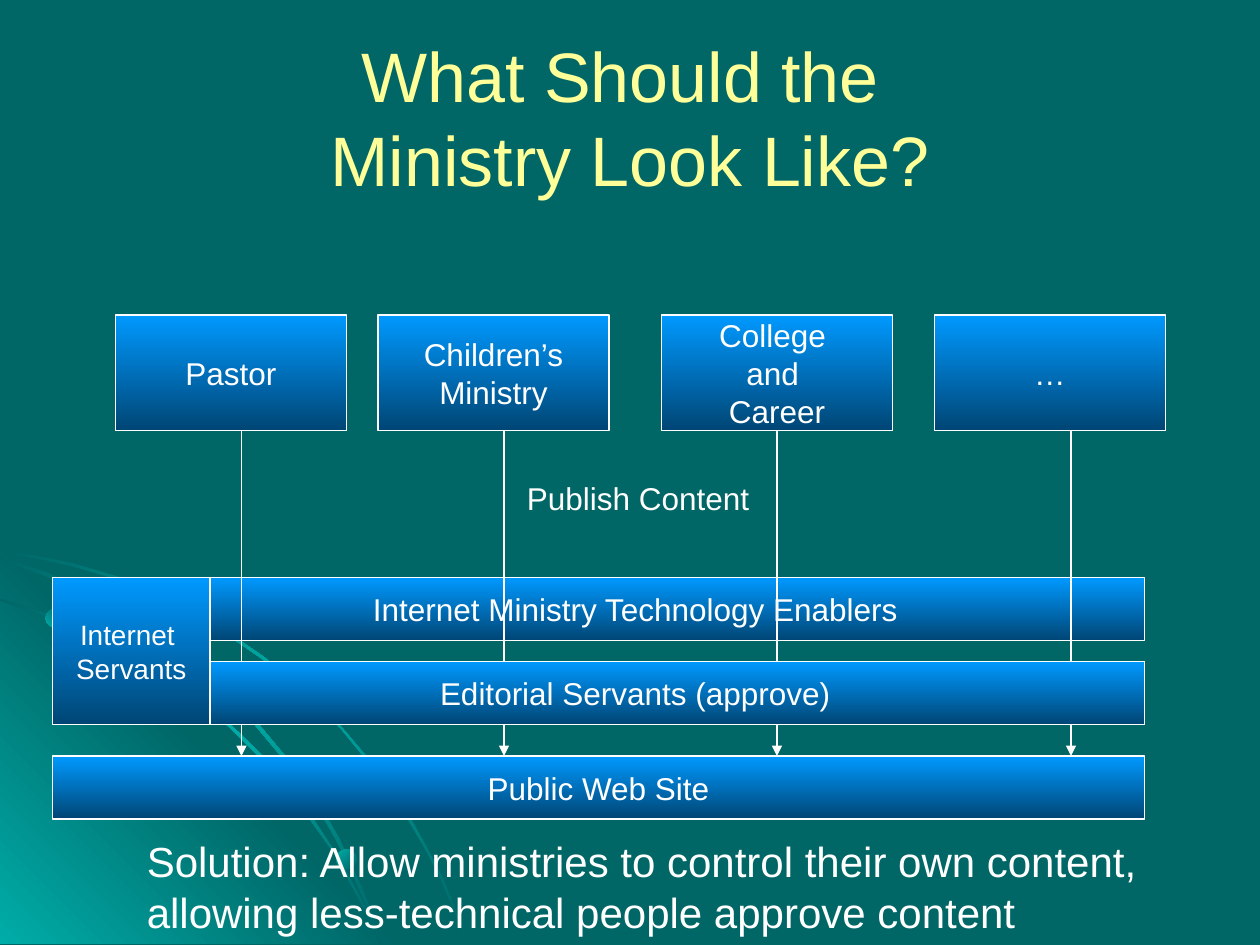
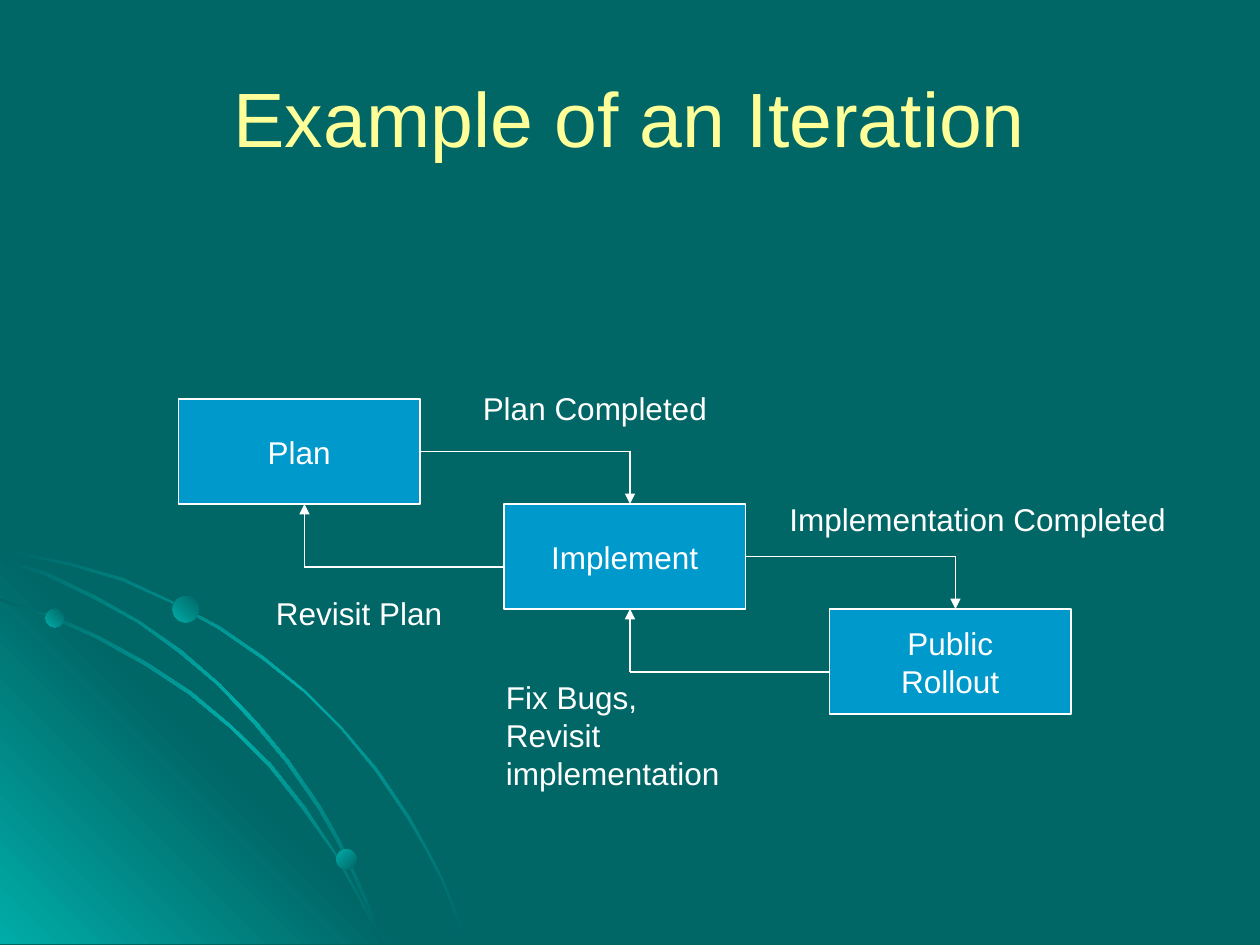
from dataclasses import dataclass

import lxml.etree
import pptx
import pptx.dml.color
import pptx.enum.shapes
import pptx.enum.text
import pptx.oxml.ns
import pptx.util

ALIGN = pptx.enum.text.PP_ALIGN
ANCHOR = pptx.enum.text.MSO_ANCHOR
SHAPE = pptx.enum.shapes.MSO_SHAPE
RIGHT_SIDE, BOTTOM_SIDE = 3, 2

# The slide is a grid of 120 columns by 90 rows, twelve to the inch
COLUMNS, ROWS = 120, 90
CELL = 914400 // 12
# The curved decoration uses a finer grid of 1000 by 750
FINE = 914400 // 100


@dataclass(frozen=True)
class Theme:
    font: str = "Arial"
    background: str = "006666"
    glow: str = "00ACA8"
    title: str = "FFFF99"
    text: str = "FFFFFF"
    line: str = "FFFFFF"
    step: str = "0099CC"
    bar_top: str = "0099FF"
    bar_bottom: str = "004675"
    long_title_size: int = 40
    title_size: int = 44
    summary_size: int = 24
    body_size: int = 18
    small_size: int = 16
    line_width: float = 0.75


THEME = Theme()


@dataclass(frozen=True)
class Box:
    left: float
    top: float
    width: float
    height: float

    def inner(self, left, top, width, height):
        """A box placed relative to this one's top left corner."""
        return Box(self.left + left, self.top + top, width, height)

    def point(self, column, row):
        return grid(self.left + column), grid(self.top + row)

    def emu(self):
        return [grid(n) for n in (self.left, self.top, self.width, self.height)]


TITLE_BOX = Box(6, 3.6, 108, 15)

# Outlines of the curves, on the fine grid
SWOOSHES = [
    [(57, 447), (28, 441), (0, 435), (0, 438), (28, 443), (56, 449), (97, 461),
     (135, 478), (173, 499), (208, 523), (241, 549), (271, 579), (298, 612),
     (323, 649), (337, 673), (350, 698), (360, 723), (370, 749), (372, 749),
     (362, 723), (352, 698), (339, 673), (325, 648), (300, 611), (272, 578),
     (242, 548), (209, 521), (174, 497), (136, 477), (98, 459)],
    [(285, 714), (294, 732), (301, 749), (303, 749), (296, 730), (286, 712),
     (266, 676), (242, 640), (215, 606), (184, 576), (152, 549), (117, 526),
     (79, 505), (41, 488), (0, 475), (0, 477), (39, 490), (77, 507),
     (115, 528), (150, 551), (183, 578), (213, 608), (240, 642), (265, 677)],
    [(0, 442), (0, 444), (36, 457), (74, 475), (109, 494), (142, 518),
     (173, 544), (202, 575), (227, 605), (252, 641), (267, 667), (280, 694),
     (292, 722), (301, 749), (303, 749), (294, 720), (282, 693), (269, 665),
     (254, 639), (229, 603), (204, 573), (175, 543), (144, 516), (111, 493),
     (76, 473), (39, 455)],
]
CORNER = [(322, 749), (0, 749), (0, 427)]
# Left, top, diameter and gradient angle of each dot, on the fine grid
DOTS = [(36, 483, 15, 135), (267, 674, 16, 225), (137, 473, 21, 135)]


def grid(cells):
    return pptx.util.Emu(round(cells * CELL))


def rgb(value):
    return pptx.dml.color.RGBColor.from_string(value)


def add_element(parent, tag, **attributes):
    return lxml.etree.SubElement(parent, pptx.oxml.ns.qn(tag), **attributes)


def fill_gradient(shape, colors, clockwise):
    """Spread the colours evenly along the given angle."""
    shape.fill.gradient()
    shape.fill.gradient_angle = 360 - clockwise
    stops = shape._element.spPr.find(".//" + pptx.oxml.ns.qn("a:gsLst"))
    for stop in list(stops):
        stops.remove(stop)
    for i, color in enumerate(colors):
        position = 100000 * i // (len(colors) - 1)
        stop = add_element(stops, "a:gs", pos=str(position))
        add_element(stop, "a:srgbClr", val=color)


def write(frame, lines, size, color=THEME.text, align=ALIGN.LEFT,
          anchor=ANCHOR.TOP, wrap=False):
    frame.word_wrap = wrap
    frame.vertical_anchor = anchor
    for i, line in enumerate(lines):
        paragraph = frame.paragraphs[0] if i == 0 else frame.add_paragraph()
        paragraph.alignment = align
        for j, piece in enumerate(line.split("\n")):
            if j:
                paragraph.add_line_break()
            run = paragraph.add_run()
            run.text = piece
            run.font.name = THEME.font
            run.font.size = pptx.util.Pt(size)
            run.font.color.rgb = rgb(color)


def add_label(slide, box, lines, size=THEME.body_size, **style):
    label = slide.shapes.add_textbox(*box.emu())
    write(label.text_frame, lines, size, **style)


def add_block(slide, box, lines, size=THEME.body_size, solid=None):
    block = slide.shapes.add_shape(SHAPE.RECTANGLE, *box.emu())
    block.shadow.inherit = False
    if solid:
        block.fill.solid()
        block.fill.fore_color.rgb = rgb(solid)
    else:
        fill_gradient(block, [THEME.bar_top, THEME.bar_bottom], 90)
    block.line.color.rgb = rgb(THEME.line)
    block.line.width = pptx.util.Pt(THEME.line_width)
    write(block.text_frame, lines, size, align=ALIGN.CENTER, anchor=ANCHOR.MIDDLE)
    return block


def add_line(slide, start, end, arrow=False):
    line = slide.shapes.add_connector(
        pptx.enum.shapes.MSO_CONNECTOR.STRAIGHT, *start, *end)
    line.line.color.rgb = rgb(THEME.line)
    line.line.width = pptx.util.Pt(THEME.line_width)
    properties = line._element.spPr
    if arrow:
        add_element(properties.find(pptx.oxml.ns.qn("a:ln")), "a:tailEnd",
                    type="triangle")
    add_element(properties, "a:effectLst")
    return line


def add_decoration(slide):
    """Glowing corner, three curves and three dots at the bottom left."""
    dark, glow = THEME.background, THEME.glow

    def finish(shape, colors, angle):
        shape.shadow.inherit = False
        shape.line.fill.background()
        fill_gradient(shape, colors, angle)

    def outline(points, colors, angle):
        builder = slide.shapes.build_freeform(*points[0], scale=FINE)
        builder.add_line_segments(points[1:], close=True)
        finish(builder.convert_to_shape(), colors, angle)

    first, *others = SWOOSHES
    outline(first, [dark, glow, dark], 225)
    outline(CORNER, [glow, dark, glow], 135)
    for swoosh in others:
        outline(swoosh, [dark, glow, dark], 225)
    for left, top, diameter, angle in DOTS:
        dot = slide.shapes.add_shape(
            SHAPE.OVAL, *[n * FINE for n in (left, top, diameter, diameter)])
        finish(dot, [dark, glow], angle)


def add_base(deck, title, size=THEME.title_size):
    """A new slide with the shared decoration and title."""
    slide = deck.slides.add_slide(deck.slide_layouts[6])
    add_decoration(slide)
    add_label(slide, TITLE_BOX, [title], size, color=THEME.title,
              align=ALIGN.CENTER, anchor=ANCHOR.MIDDLE, wrap=True)
    return slide


def add_publishing_flow(slide, box):
    """Ministries publish through the servants' layers to the web site."""
    # Column of each ministry and of its arrow
    ministries = [
        (6, 18, ["Pastor"]),
        (31, 43, ["Children’s", "Ministry"]),
        (58, 69, ["College ", "and ", "Career"]),
        (84, 97, ["…"]),
    ]
    width, height, site_row, bar_height = 22, 11, 42, 6
    blocks = [add_block(slide, box.inner(column, 0, width, height), name)
              for column, _, name in ministries]
    add_block(slide, box.inner(0, site_row, 104, bar_height), ["Public Web Site"])
    add_block(slide, box.inner(7, 25, 97, bar_height),
              ["Internet Ministry Technology Enablers"])

    # Arrows run over the enablers and behind the editors
    for block, (column, arrow_column, _) in zip(blocks, ministries):
        arrow = add_line(slide, box.point(arrow_column, height),
                         box.point(arrow_column, site_row), arrow=True)
        if arrow_column == column + width / 2:
            arrow.begin_connect(block, BOTTOM_SIDE)

    add_label(slide, box.inner(44, 15, 24, 4.8), ["Publish Content"], wrap=True)
    add_block(slide, box.inner(7, 33, 97, bar_height),
              ["Editorial Servants (approve)"])
    add_block(slide, box.inner(0, 25, 15, 14), ["Internet ", "Servants"],
              THEME.small_size)


def add_iteration_steps(slide, box):
    """Steps going down to the right, each linked forward and back."""
    names = [["Plan"], ["Implement"], ["Public", "Rollout"]]
    width, height, stride, first_row = 23, 10, 31, 2
    places = [box.inner(i * stride, first_row + i * height, width, height)
              for i in range(len(names))]
    steps = [add_block(slide, place, name, solid=THEME.step)
             for place, name in zip(places, names)]

    for step, place in zip(steps[:-1], places):
        # Forward: out of the right side, down to the next step
        turn = place.point(43, height / 2)
        forward = add_line(slide, place.point(width, height / 2), turn)
        forward.begin_connect(step, RIGHT_SIDE)
        add_line(slide, turn, place.point(43, height), arrow=True)
        # Back: out of the next step, up to this one
        turn = place.point(12, 16)
        add_line(slide, place.point(stride, 16), turn)
        add_line(slide, turn, place.point(12, height), arrow=True)

    for column, row, label_width, lines in [
        (27.8, 0.5, 23.8, ["Plan Completed"]),
        (57, 11, 38.3, ["Implementation Completed"]),
        (8.1, 20, 18.2, ["Revisit Plan"]),
        (30, 28, 32.5, ["Fix Bugs,", "Revisit implementation"]),
    ]:
        label_height = 1.2 + 3.6 * len(lines)
        add_label(slide, box.inner(column, row, label_width, label_height), lines)


def main():
    deck = pptx.Presentation()
    deck.slide_width, deck.slide_height = grid(COLUMNS), grid(ROWS)
    background = deck.slide_master.background.fill
    background.solid()
    background.fore_color.rgb = rgb(THEME.background)

    ministry = add_base(deck, "What Should the \nMinistry Look Like?",
                        THEME.long_title_size)
    add_publishing_flow(ministry, Box(5, 30, 106, 48))
    add_label(ministry, Box(12.8, 79, 96.8, 10.8),
              ["Solution: Allow ministries to control their own content,",
               "allowing less-technical people approve content"],
              THEME.summary_size)

    iteration = add_base(deck, "Example of an Iteration")
    add_iteration_steps(iteration, Box(17, 36, 96, 37))

    deck.save("out.pptx")


if __name__ == "__main__":
    main()
